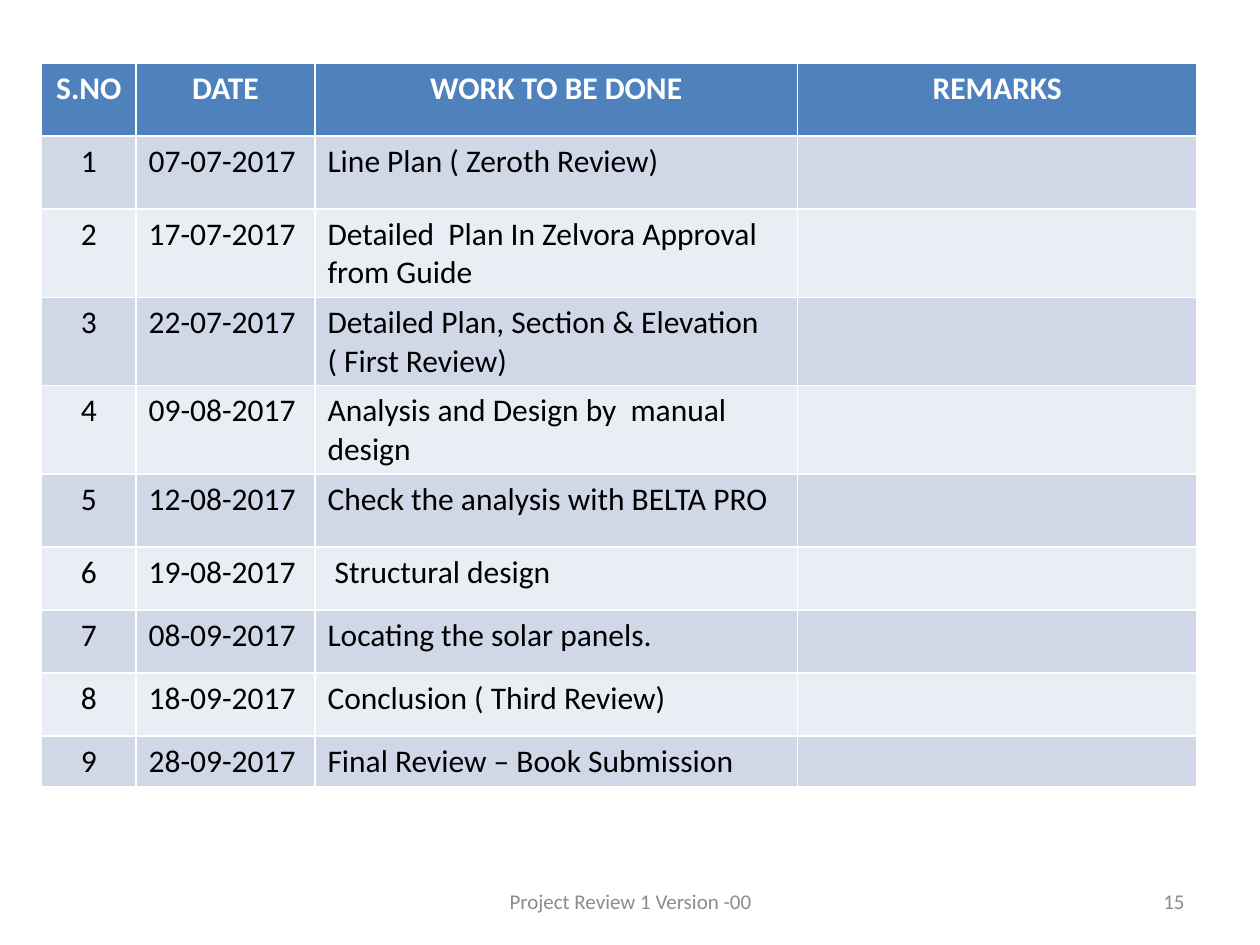
from pptx import Presentation
from pptx.dml.color import RGBColor
from pptx.enum.text import MSO_ANCHOR, PP_ALIGN
from pptx.util import Inches, Pt

WHITE = RGBColor(0xFF, 0xFF, 0xFF)
BLACK = RGBColor(0x00, 0x00, 0x00)
GRAY = RGBColor(0x8C, 0x8C, 0x8C)
BLUE = RGBColor(0x4F, 0x81, 0xBD)
BANDS = [RGBColor(0xE9, 0xED, 0xF4), RGBColor(0xD0, 0xD8, 0xE8)]
FONT = "Calibri"

HEADERS = ["S.NO", "DATE", "WORK TO BE DONE", "REMARKS"]
SCHEDULE = [
    ("07-07-2017", "Line Plan ( Zeroth Review)"),
    ("17-07-2017", "Detailed  Plan In Zelvora Approval from Guide"),
    ("22-07-2017", "Detailed Plan, Section & Elevation\n( First Review)"),
    ("09-08-2017", "Analysis and Design by  manual design"),
    ("12-08-2017", "Check the analysis with BELTA PRO"),
    ("19-08-2017", " Structural design"),
    ("08-09-2017", "Locating the solar panels."),
    ("18-09-2017", "Conclusion ( Third Review)"),
    ("28-09-2017", "Final Review – Book Submission"),
]
COL_WIDTHS = [0.75, 1.42, 3.83, 3.17]
ROW_HEIGHTS = [0.58, 0.58, 0.58, 0.7, 0.58, 0.58, 0.5, 0.5, 0.5, 0.35]
FOOTERS = [
    ("Project Review 1 Version -00", 3.42, 3.17, PP_ALIGN.CENTER),
    ("15", 7.17, 2.33, PP_ALIGN.RIGHT),
]


def format_text(tf, size, color, align, bold=False):
    for p in tf.paragraphs:
        p.alignment = align
        p.font.name = FONT
        p.font.size = Pt(size)
        p.font.bold = bold
        p.font.color.rgb = color


def add_schedule(s):
    rows = [HEADERS] + [(str(n), date, work, "")
                        for n, (date, work) in enumerate(SCHEDULE, 1)]
    table = s.shapes.add_table(
        len(rows), len(HEADERS), Inches(0.33), Inches(0.5),
        Inches(sum(COL_WIDTHS)), Inches(sum(ROW_HEIGHTS))).table
    for col, width in zip(table.columns, COL_WIDTHS):
        col.width = Inches(width)
    for row, height in zip(table.rows, ROW_HEIGHTS):
        row.height = Inches(height)
    for i, values in enumerate(rows):
        header = i == 0
        for j, value in enumerate(values):
            cell = table.cell(i, j)
            cell.text = value
            cell.fill.solid()
            cell.fill.fore_color.rgb = BLUE if header else BANDS[i % 2]
            centered = header or j == 0
            format_text(cell.text_frame, 18, WHITE if header else BLACK,
                        PP_ALIGN.CENTER if centered else PP_ALIGN.LEFT, header)


def add_footer(s, text, left, width, align):
    sp = s.shapes.add_textbox(Inches(left), Inches(6.95), Inches(width), Inches(0.4))
    tf = sp.text_frame
    tf.word_wrap = True
    tf.vertical_anchor = MSO_ANCHOR.MIDDLE
    tf.text = text
    format_text(tf, 12, GRAY, align)


def main():
    prs = Presentation()
    prs.slide_width, prs.slide_height = Inches(10), Inches(7.5)
    s = prs.slides.add_slide(prs.slide_layouts[6])
    for footer in FOOTERS:
        add_footer(s, *footer)
    add_schedule(s)
    prs.save("out.pptx")


if __name__ == "__main__":
    main()
